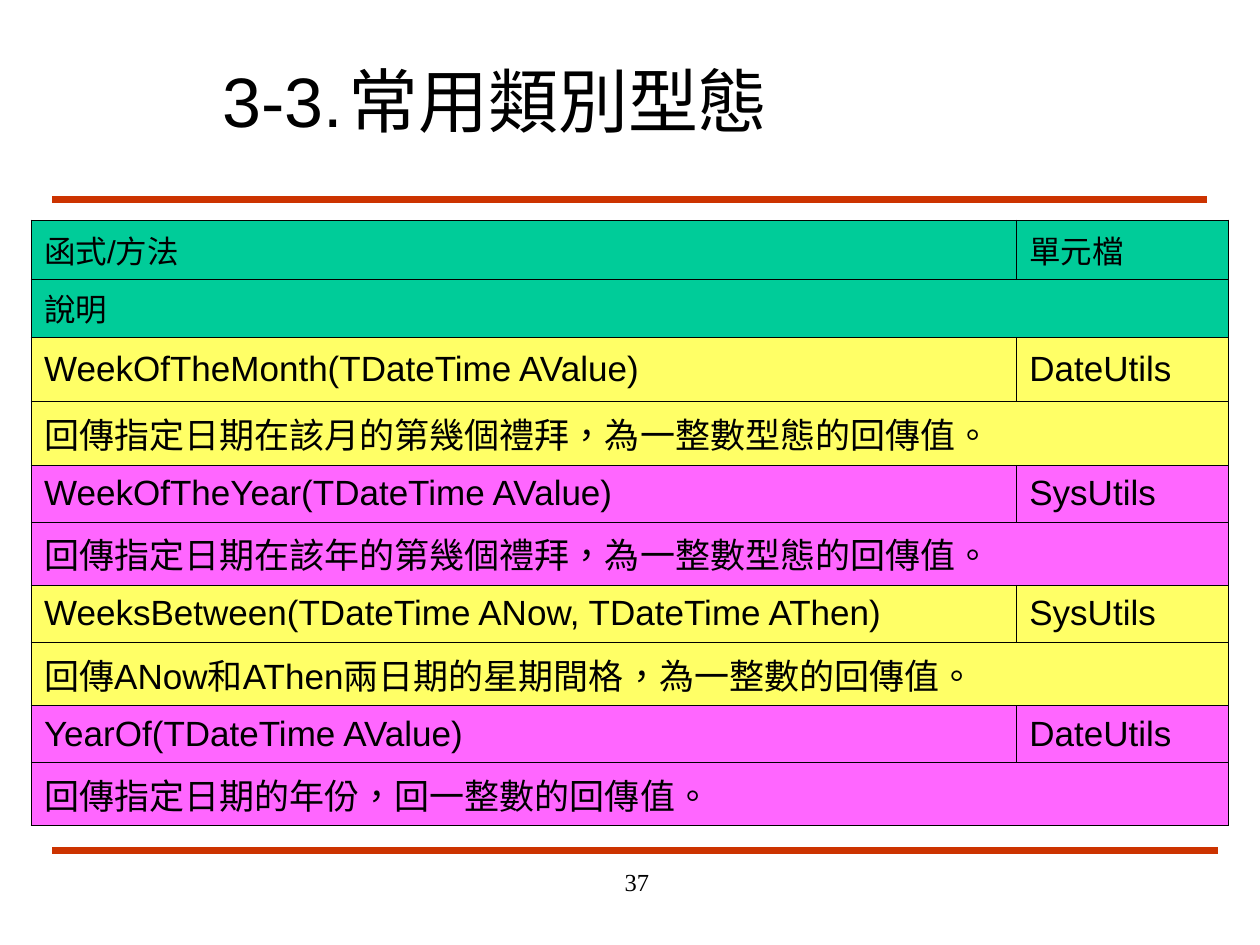
from lxml.etree import SubElement
from pptx import Presentation
from pptx.dml.color import RGBColor
from pptx.enum.lang import MSO_LANGUAGE_ID as Lang
from pptx.enum.shapes import MSO_CONNECTOR as Conn
from pptx.enum.text import MSO_ANCHOR as Anchor, PP_ALIGN as Align
from pptx.oxml import parse_xml
from pptx.oxml.ns import nsdecls, qn
from pptx.util import Pt

GREEN, YELLOW, PINK = "00CC99", "FFFF66", "FF66FF"
RED, BLACK = "CC3300", "000000"
THICK, THIN = 1.08, 0.45

# function, unit, description, fill, text size, two row heights
ITEMS = [
    ("函式/方法", "單元檔", "說明", GREEN, 18, (33.4, 33.4)),
    ("WeekOfTheMonth(TDateTime AValue)", "DateUtils",
     "回傳指定日期在該月的第幾個禮拜，為一整數型態的回傳值。",
     YELLOW, 20, (36.6, 36.4)),
    ("WeekOfTheYear(TDateTime AValue)", "SysUtils",
     "回傳指定日期在該年的第幾個禮拜，為一整數型態的回傳值。",
     PINK, 20, (32.5, 36.2)),
    ("WeeksBetween(TDateTime ANow, TDateTime AThen)", "SysUtils",
     "回傳ANow和AThen兩日期的星期間格，為一整數的回傳值。",
     YELLOW, 20, (32.5, 36.2)),
    ("YearOf(TDateTime AValue)", "DateUtils",
     "回傳指定日期的年份，回一整數的回傳值。",
     PINK, 20, (32.5, 36.2)),
]


def color(code):
    return RGBColor.from_string(code)


def add_run(para, text, size, face="Arial"):
    run = para.add_run()
    run.text = text
    font = run.font
    font.name, font.size = face, Pt(size)
    font.color.rgb = color(BLACK)
    font.language_id = Lang.TRADITIONAL_CHINESE


def add_text(slide, box, text, size, face="Arial", anchor=Anchor.TOP, align=Align.LEFT):
    frame = slide.shapes.add_textbox(*map(Pt, box)).text_frame
    frame.word_wrap = True
    frame.vertical_anchor = anchor
    para = frame.paragraphs[0]
    para.alignment = align
    add_run(para, text, size, face)


def add_rule(slide, left, right, y):
    rule = slide.shapes.add_connector(Conn.STRAIGHT, Pt(left), Pt(y), Pt(right), Pt(y))
    rule.line.color.rgb = color(RED)
    rule.line.width = Pt(4.5)
    SubElement(rule._element.spPr, qn("a:effectLst"))


def set_edges(cell, left, right, top, base):
    """Draw the four cell borders, with widths in points."""
    props = cell._tc.get_or_add_tcPr()
    sides = zip("LRTB", (left, right, top, base))
    for i, (side, width) in enumerate(sides):
        props.insert(i, parse_xml(
            f'<a:ln{side} {nsdecls("a")} w="{Pt(width)}"><a:solidFill>'
            f'<a:srgbClr val="{BLACK}"/></a:solidFill></a:ln{side}>'))


def fill_cell(cell, text, fill, size):
    cell.fill.solid()
    cell.fill.fore_color.rgb = color(fill)
    cell.vertical_anchor = Anchor.MIDDLE
    if text:
        add_run(cell.text_frame.paragraphs[0], text, size)


def add_grid(slide):
    """Each item takes two rows: name and unit, then a merged description."""
    count = 2 * len(ITEMS)
    high = sum(sum(item[-1]) for item in ITEMS)
    grid = slide.shapes.add_table(count, 2, Pt(18), Pt(126), Pt(684), Pt(high)).table
    grid.columns[0].width, grid.columns[1].width = Pt(563), Pt(121)
    for i, (name, unit, note, fill, size, highs) in enumerate(ITEMS):
        for j, texts in enumerate([(name, unit), (note, "")]):
            row = 2 * i + j
            grid.rows[row].height = Pt(highs[j])
            for col, text in enumerate(texts):
                cell = grid.cell(row, col)
                fill_cell(cell, text, fill, size)
                set_edges(cell, THIN if col else THICK,
                          THICK if col or j else THIN,
                          THIN if row else THICK, THIN)
        grid.cell(row, 0).merge(grid.cell(row, 1))


def main():
    deck = Presentation()
    deck.slide_width, deck.slide_height = Pt(720), Pt(540)
    slide = deck.slides.add_slide(deck.slide_layouts[6])
    add_rule(slide, 30, 690, 114)
    add_rule(slide, 30, 696, 486)
    add_text(slide, (120, 24, 546, 66), "3-3.\t常用類別型態", 40, anchor=Anchor.MIDDLE)
    add_grid(slide)
    add_text(slide, (228, 492, 150, 36), "37", 14, "Times New Roman", align=Align.RIGHT)
    deck.save("out.pptx")


if __name__ == "__main__":
    main()
